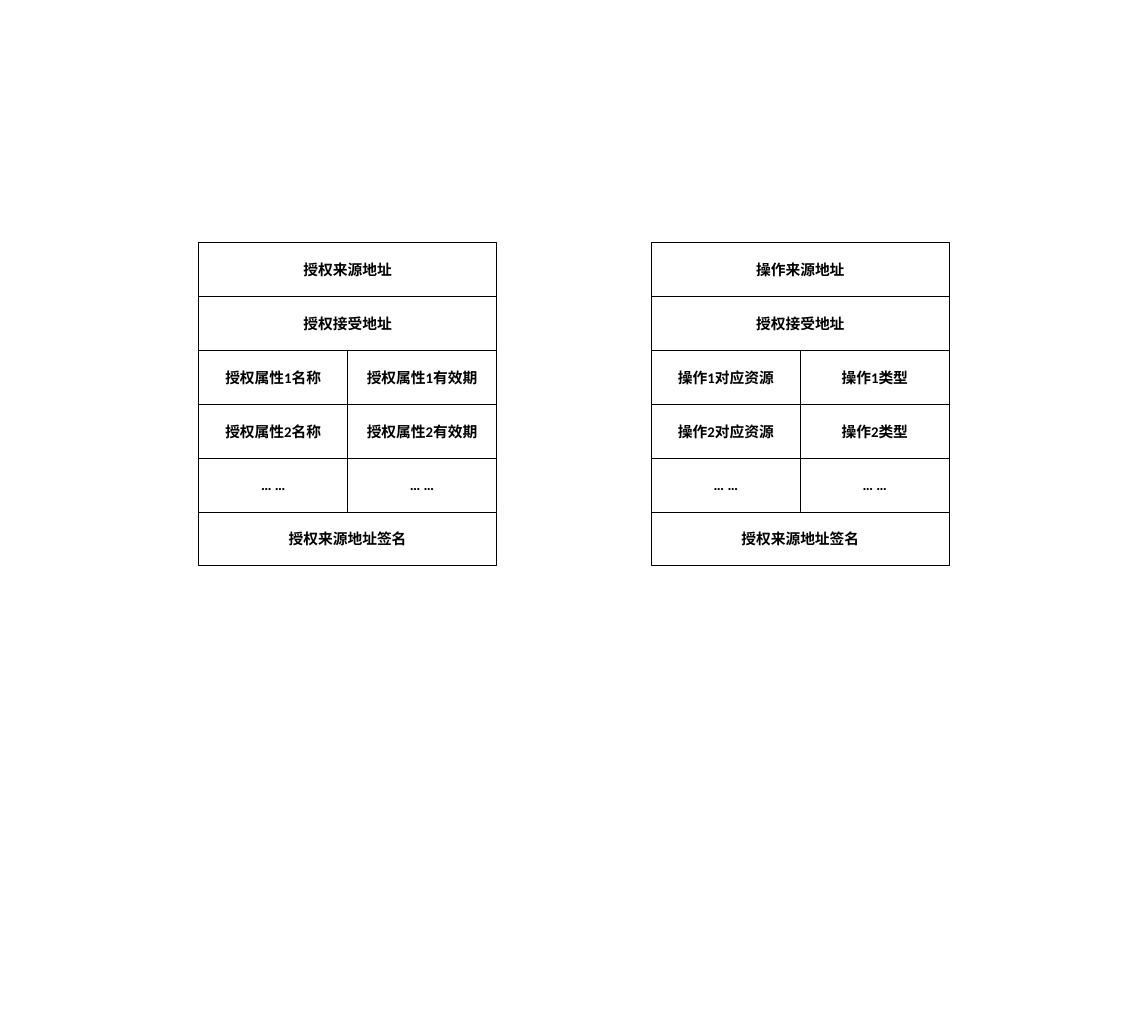
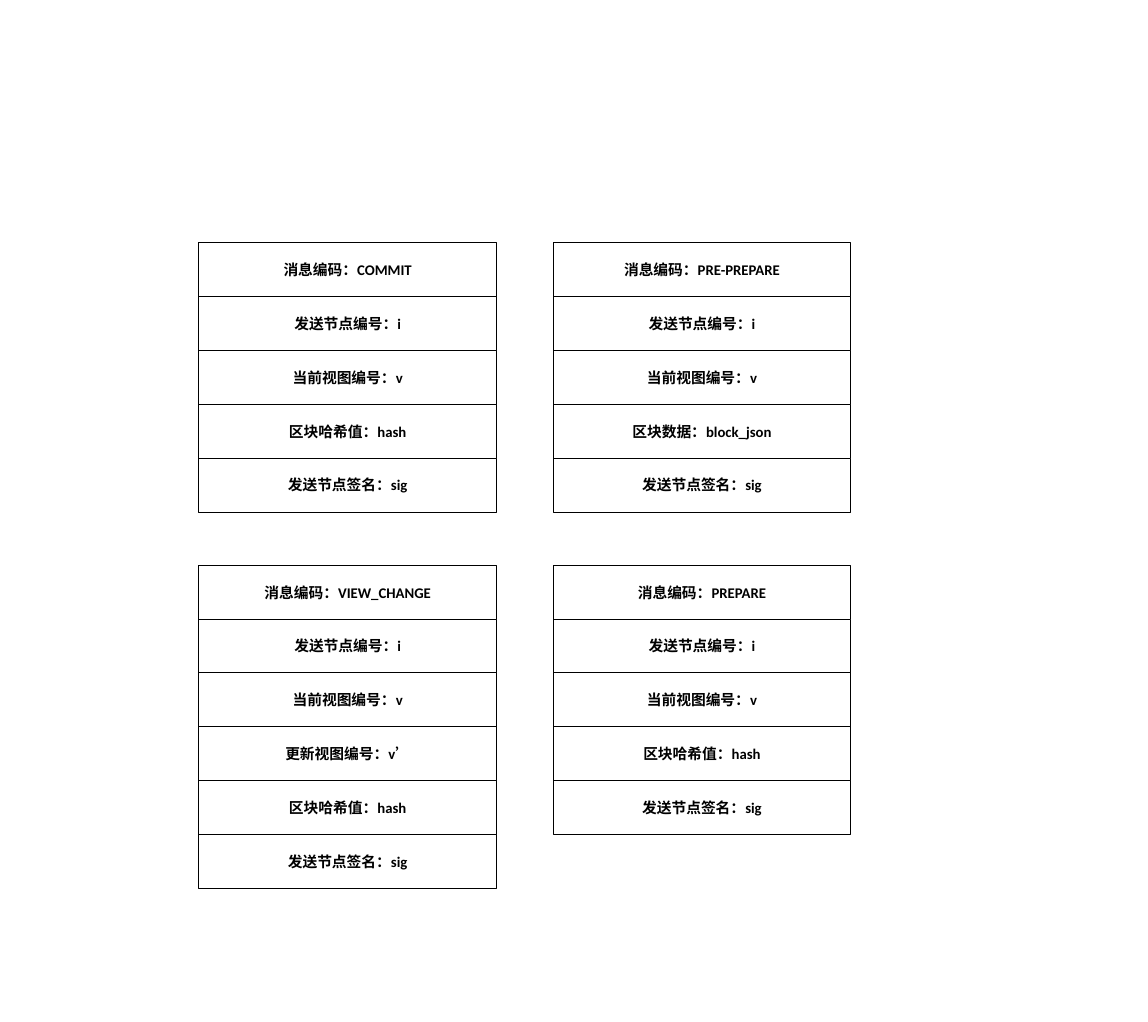
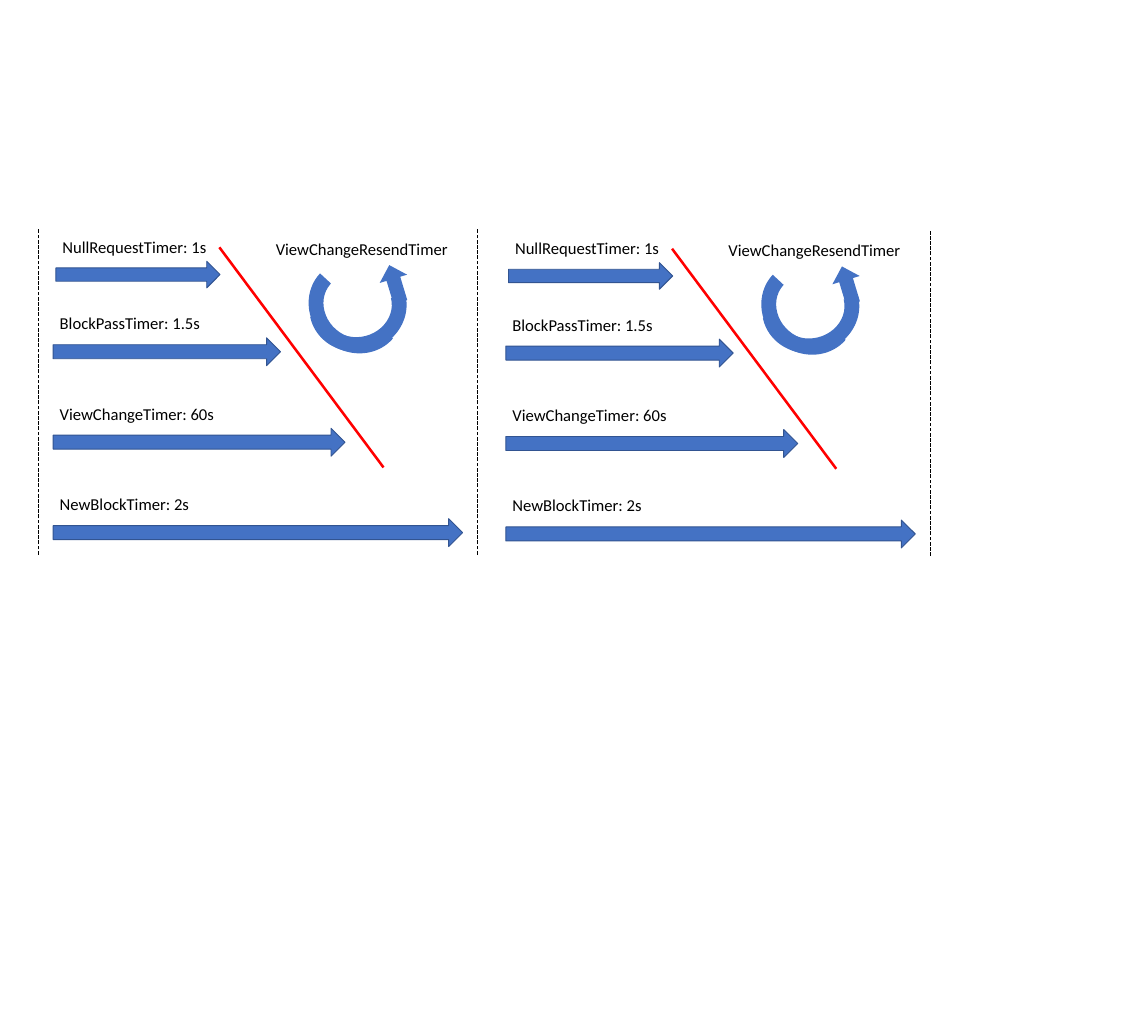
from lxml import etree
from pptx import Presentation
from pptx.dml.color import RGBColor
from pptx.enum.dml import MSO_LINE
from pptx.enum.shapes import MSO_CONNECTOR, MSO_SHAPE
from pptx.enum.text import MSO_ANCHOR, MSO_AUTO_SIZE, PP_ALIGN
from pptx.oxml.ns import qn
from pptx.util import Pt

EMU_PER_PX = 9144
SLIDE_WIDTH, SLIDE_HEIGHT = 1727, 1537
BLANK_LAYOUT = 6

WHITE = RGBColor(0xFF, 0xFF, 0xFF)
BLACK = RGBColor(0x00, 0x00, 0x00)
RED = RGBColor(0xFF, 0x00, 0x00)
BLUE = RGBColor(0x44, 0x72, 0xC4)
DARK_BLUE = RGBColor(0x32, 0x54, 0x91)
FONT = "Calibri"

RECTANGLE = MSO_SHAPE.RECTANGLE
RIGHT_ARROW = MSO_SHAPE.RIGHT_ARROW
BLOCK_ARC = MSO_SHAPE.BLOCK_ARC
STRAIGHT = MSO_CONNECTOR.STRAIGHT
LONG_DASH = MSO_LINE.LONG_DASH
MIDDLE = MSO_ANCHOR.MIDDLE
CENTER = PP_ALIGN.CENTER
LEFT = PP_ALIGN.LEFT
FIT_SHAPE = MSO_AUTO_SIZE.SHAPE_TO_FIT_TEXT

FRAME_WIDTH, ROW_HEIGHT = 448, 81
FRAME_TOP, LOWER_FRAME_TOP = 365, 850
LEFT_FRAME = 299
LABEL_HEIGHT, LABEL_RISE = 40, 42
PERIOD_SHIFT = (681, 2)
DIVIDER_TOP, DIVIDER_BOTTOM = 345, 834
ARC_ADJUSTMENTS = (108, 1.123, 0.164)

SENDER = ("发送节点编号：i",)
VIEW = ("当前视图编号：v",)
BLOCK_HASH = ("区块哈希值：hash",)
SIGNATURE = ("发送节点签名：sig",)
ELLIPSIS = ("… …", "… …")
SOURCE_SIGNATURE = ("授权来源地址签名",)

AUTHORIZATION_FRAMES = [
    (LEFT_FRAME, FRAME_TOP, [
        ("授权来源地址",), ("授权接受地址",),
        ("授权属性1名称", "授权属性1有效期"),
        ("授权属性2名称", "授权属性2有效期"),
        ELLIPSIS, SOURCE_SIGNATURE]),
    (980, FRAME_TOP, [
        ("操作来源地址",), ("授权接受地址",),
        ("操作1对应资源", "操作1类型"),
        ("操作2对应资源", "操作2类型"),
        ELLIPSIS, SOURCE_SIGNATURE]),
]
MESSAGE_FRAMES = [
    (LEFT_FRAME, FRAME_TOP, [
        ("消息编码：COMMIT",), SENDER, VIEW, BLOCK_HASH, SIGNATURE]),
    (832, FRAME_TOP, [
        ("消息编码：PRE-PREPARE",), SENDER, VIEW,
        ("区块数据：block_json",), SIGNATURE]),
    (832, LOWER_FRAME_TOP, [
        ("消息编码：PREPARE",), SENDER, VIEW, BLOCK_HASH, SIGNATURE]),
    (LEFT_FRAME, LOWER_FRAME_TOP, [
        ("消息编码：VIEW_CHANGE",), SENDER, VIEW,
        ("更新视图编号：v’",), BLOCK_HASH, SIGNATURE]),
]
TIMERS = [
    ("BlockPassTimer: 1.5s", 80, 508, 342, 42, 233),
    ("NullRequestTimer: 1s", 84, 393, 247, 40, 239),
    ("ViewChangeTimer: 60s", 80, 644, 439, 42, 255),
    ("NewBlockTimer: 2s", 80, 780, 616, 42, 217),
]


def px(length):
    return round(length * EMU_PER_PX)


def write_text(text_frame, text, size=18, bold=False, align=LEFT):
    paragraph = text_frame.paragraphs[0]
    paragraph.alignment = align
    run = paragraph.add_run()
    run.text = text
    run.font.name = FONT
    run.font.size = Pt(size)
    run.font.bold = bold
    run.font.color.rgb = BLACK


def add_block(shapes, kind, left, top, width, height, fill, line=None, rotation=0):
    shape = shapes.add_shape(kind, px(left), px(top), px(width), px(height))
    shape.shadow.inherit = False
    shape.rotation = rotation
    shape.fill.solid()
    shape.fill.fore_color.rgb = fill
    if line is None:
        shape.line.fill.background()
    else:
        shape.line.color.rgb = line
        shape.line.width = Pt(1)
    return shape


def add_label(shapes, text, left, top, width):
    box = shapes.add_textbox(px(left), px(top), px(width), px(LABEL_HEIGHT))
    box.text_frame.word_wrap = False
    box.text_frame.auto_size = FIT_SHAPE
    write_text(box.text_frame, text)


def add_line(shapes, start, end, color, width, dash=None):
    connector = shapes.add_connector(STRAIGHT, *map(px, start + end))
    connector.line.color.rgb = color
    connector.line.width = Pt(width)
    if dash is not None:
        connector.line.dash_style = dash
    etree.SubElement(connector._element.spPr, qn("a:effectLst"))


def add_divider(shapes, x, shift_y=0):
    add_line(shapes, (x, DIVIDER_BOTTOM + shift_y), (x, DIVIDER_TOP + shift_y),
             BLACK, 0.5, LONG_DASH)


def add_frame(shapes, left, top, rows):
    for row_index, row in enumerate(rows):
        cell_width = FRAME_WIDTH // len(row)
        for column_index, text in enumerate(row):
            cell = add_block(shapes, RECTANGLE, left + column_index * cell_width,
                             top + row_index * ROW_HEIGHT, cell_width, ROW_HEIGHT,
                             WHITE, BLACK)
            cell.text_frame.vertical_anchor = MIDDLE
            write_text(cell.text_frame, text, size=16, bold=True, align=CENTER)


def add_timer(shapes, text, left, top, width, height, label_width):
    group = shapes.add_group_shape()
    add_block(group.shapes, RIGHT_ARROW, left, top, width, height, BLUE, DARK_BLUE)
    add_label(group.shapes, text, left, top - LABEL_RISE, label_width)


def add_resend_loop(shapes, left, top):
    group = shapes.add_group_shape()
    for offset, rotation in ((3, 165.8), (0, 220.8)):
        arc = add_block(group.shapes, BLOCK_ARC, left + offset, top, 147, 136,
                        BLUE, rotation=rotation)
        for index, value in enumerate(ARC_ADJUSTMENTS):
            arc.adjustments[index] = value
    add_block(group.shapes, RIGHT_ARROW, left + 103, top + 12, 58, 43,
              BLUE, rotation=253.2)


def add_period(shapes, shift_x, shift_y):
    add_line(shapes, (577 + shift_x, 703 + shift_y), (330 + shift_x, 372 + shift_y),
             RED, 2.75)
    for text, left, top, *sizes in TIMERS:
        add_timer(shapes, text, left + shift_x, top + shift_y, *sizes)
    add_label(shapes, "ViewChangeResendTimer", 405 + shift_x, 354 + shift_y, 282)
    add_resend_loop(shapes, 462 + shift_x, 393 + shift_y)
    add_divider(shapes, 718 + shift_x, shift_y)


def add_slide(presentation):
    return presentation.slides.add_slide(presentation.slide_layouts[BLANK_LAYOUT])


def main():
    presentation = Presentation()
    presentation.slide_width = px(SLIDE_WIDTH)
    presentation.slide_height = px(SLIDE_HEIGHT)

    for frames in (AUTHORIZATION_FRAMES, MESSAGE_FRAMES):
        slide = add_slide(presentation)
        for left, top, rows in frames:
            add_frame(slide.shapes, left, top, rows)

    timer_slide = add_slide(presentation)
    add_divider(timer_slide.shapes, 58)
    for shift in ((0, 0), PERIOD_SHIFT):
        add_period(timer_slide.shapes, *shift)

    presentation.save("out.pptx")


if __name__ == "__main__":
    main()
